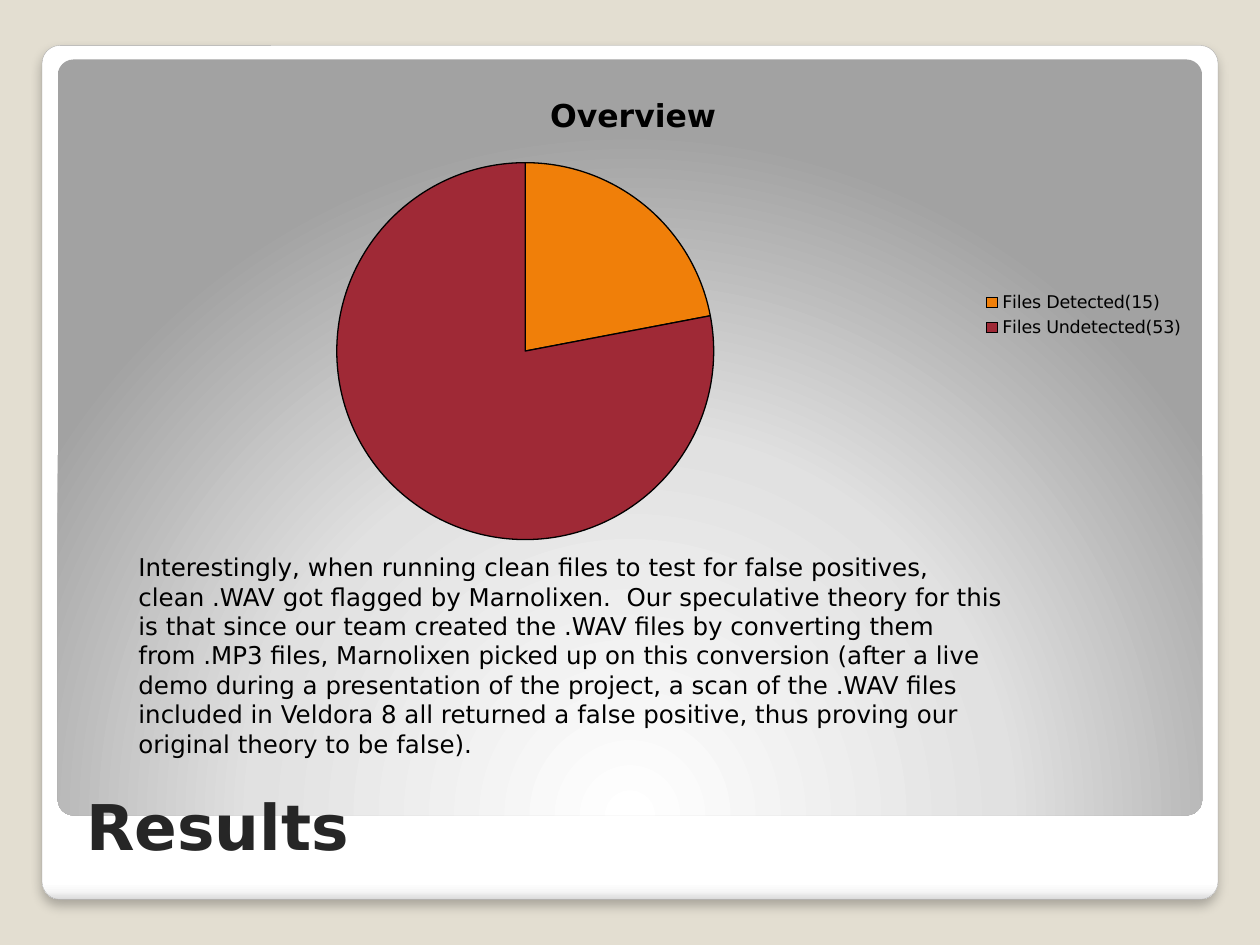
from lxml import etree
from pptx import Presentation
from pptx.chart.data import CategoryChartData
from pptx.dml.color import RGBColor
from pptx.enum.chart import XL_CHART_TYPE as ChartType, XL_LEGEND_POSITION as LegendPosition
from pptx.enum.shapes import MSO_SHAPE as Shape
from pptx.enum.text import MSO_ANCHOR as Anchor, MSO_AUTO_SIZE as AutoSize, PP_ALIGN as Align
from pptx.oxml import parse_xml
from pptx.oxml.ns import nsdecls, qn
from pptx.util import Pt

FONT = "DejaVu Sans"
COLORS = {
    "backdrop": "E3DED1",
    "frame_line": "A4A4A4",
    "heading": "262626",
    "text": "000000",
    "detected": "F07F09",
    "undetected": "9F2936",
}
FRAME_STOPS = [(0, "FFFFFF"), (98, "FFFFFF"), (99, "F7F7F7"), (100, "DADADA")]
PANEL_STOPS = [(0, "FFFFFF"), (55, "E1E1E1"), (100, "A2A2A2")]
LINEAR_DOWN = '<a:lin ang="5400000" scaled="0"/>'
GLOW_FROM_BELOW = (
    '<a:path path="circle">'
    '<a:fillToRect l="50000" t="175000" r="50000" b="-75000"/></a:path>'
)
FINDING = (
    "Interestingly, when running clean files to test for false positives, clean .WAV "
    "got flagged by Marnolixen.  Our speculative theory for this is that since our team "
    "created the .WAV files by converting them from .MP3 files, Marnolixen picked up on "
    "this conversion (after a live demo during a presentation of the project, a scan of "
    "the .WAV files included in Veldora 8 all returned a false positive, thus proving our "
    "original theory to be false)."
)


def color(name):
    return RGBColor.from_string(COLORS[name])


def style_font(font, size, color_name="text", bold=False):
    font.name = FONT
    font.size = Pt(size)
    font.bold = bold
    font.color.rgb = color(color_name)


def fill_gradient(shape, stops, direction):
    shape.fill.gradient()
    default = shape._element.spPr.find(qn("a:gradFill"))
    stop_xml = "".join(
        f'<a:gs pos="{percent * 1000}"><a:srgbClr val="{shade}"/></a:gs>'
        for percent, shade in stops
    )
    gradient = parse_xml(
        f'<a:gradFill {nsdecls("a")} rotWithShape="1">'
        f"<a:gsLst>{stop_xml}</a:gsLst>{direction}</a:gradFill>"
    )
    default.getparent().replace(default, gradient)


def add_rounded_panel(slide, box, stops, direction):
    panel = slide.shapes.add_shape(Shape.ROUNDED_RECTANGLE, *map(Pt, box))
    panel.adjustments[0] = 0.021
    panel.shadow.inherit = False
    panel.line.fill.background()
    fill_gradient(panel, stops, direction)
    return panel


def add_frame(slide, box):
    frame = add_rounded_panel(slide, box, FRAME_STOPS, LINEAR_DOWN)
    frame.line.color.rgb = color("frame_line")
    frame.line.width = Pt(0.16)
    effects = frame._element.spPr.find(qn("a:effectLst"))
    shadow = etree.SubElement(
        effects, qn("a:outerShdw"), blurRad=str(Pt(6)), dist=str(Pt(4)),
        dir="5400000", algn="tl", rotWithShape="0",
    )
    shade = etree.SubElement(shadow, qn("a:srgbClr"), val=COLORS["text"])
    etree.SubElement(shade, qn("a:alpha"), val="25000")


def place_heading(slide, box):
    heading = slide.shapes.title
    slide.shapes._spTree.append(heading._element)
    heading.left, heading.top, heading.width, heading.height = map(Pt, box)
    heading.text_frame.text = "Results"
    heading.text_frame.vertical_anchor = Anchor.BOTTOM
    paragraph = heading.text_frame.paragraphs[0]
    paragraph.alignment = Align.LEFT
    style_font(paragraph.runs[0].font, 36, "heading", bold=True)


def add_overview(slide, box):
    detection = CategoryChartData()
    detection.categories = ["Files Detected(15)", "Files Undetected(53)"]
    detection.add_series("Overview", (22, 78))
    chart = slide.shapes.add_chart(ChartType.PIE, *map(Pt, box), detection).chart
    style_font(chart.font, 10)

    chart.has_title = True
    chart.chart_title.text_frame.text = "Overview"
    caption = chart.chart_title.text_frame.paragraphs[0].runs[0]
    style_font(caption.font, 18, bold=True)

    chart.has_legend = True
    chart.legend.position = LegendPosition.RIGHT
    chart.legend.include_in_layout = False

    pie = chart.plots[0]
    pie.vary_by_categories = True
    for index, name in enumerate(("detected", "undetected")):
        slice_format = pie.series[0].points[index].format
        slice_format.fill.solid()
        slice_format.fill.fore_color.rgb = color(name)
        slice_format.line.color.rgb = color("text")
        slice_format.line.width = Pt(0.75)


def add_finding(slide, box):
    finding = slide.shapes.add_textbox(*map(Pt, box)).text_frame
    finding.word_wrap = True
    finding.auto_size = AutoSize.SHAPE_TO_FIT_TEXT
    finding.text = FINDING
    style_font(finding.paragraphs[0].runs[0].font, 14)


def build_results(deck):
    slide = deck.slides.add_slide(deck.slide_layouts[5])
    slide.background.fill.solid()
    slide.background.fill.fore_color.rgb = color("backdrop")
    add_frame(slide, (24, 26, 672, 488))
    add_rounded_panel(slide, (33, 34, 654, 432), PANEL_STOPS, GLOW_FROM_BELOW)
    place_heading(slide, (42, 414, 644.5, 82.8))
    add_overview(slide, (39.6, 41.8, 644.4, 276.5))
    add_finding(slide, (72, 312, 522, 147.6))


def main():
    deck = Presentation()
    deck.slide_width, deck.slide_height = Pt(720), Pt(540)
    build_results(deck)
    deck.save("out.pptx")


if __name__ == "__main__":
    main()
